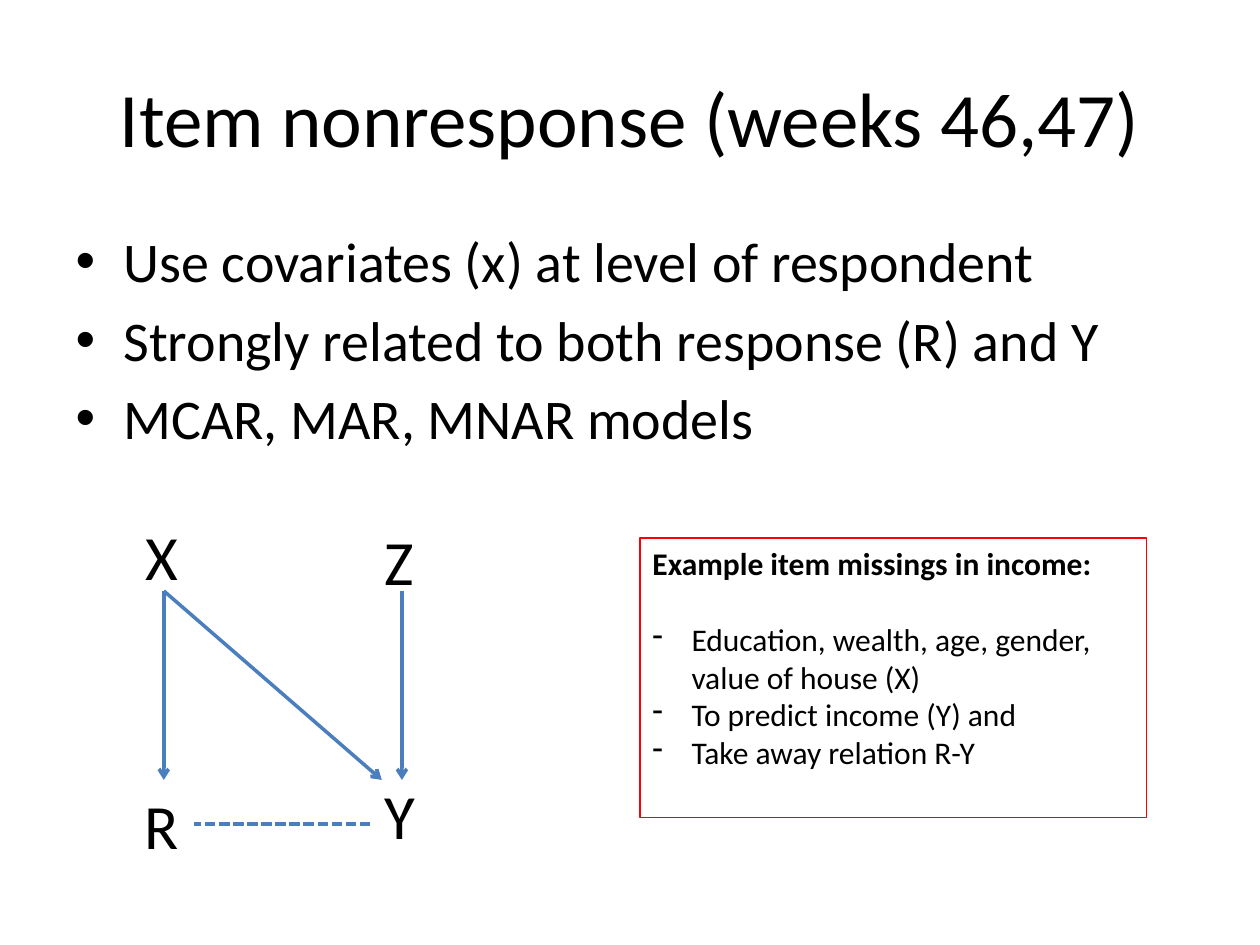
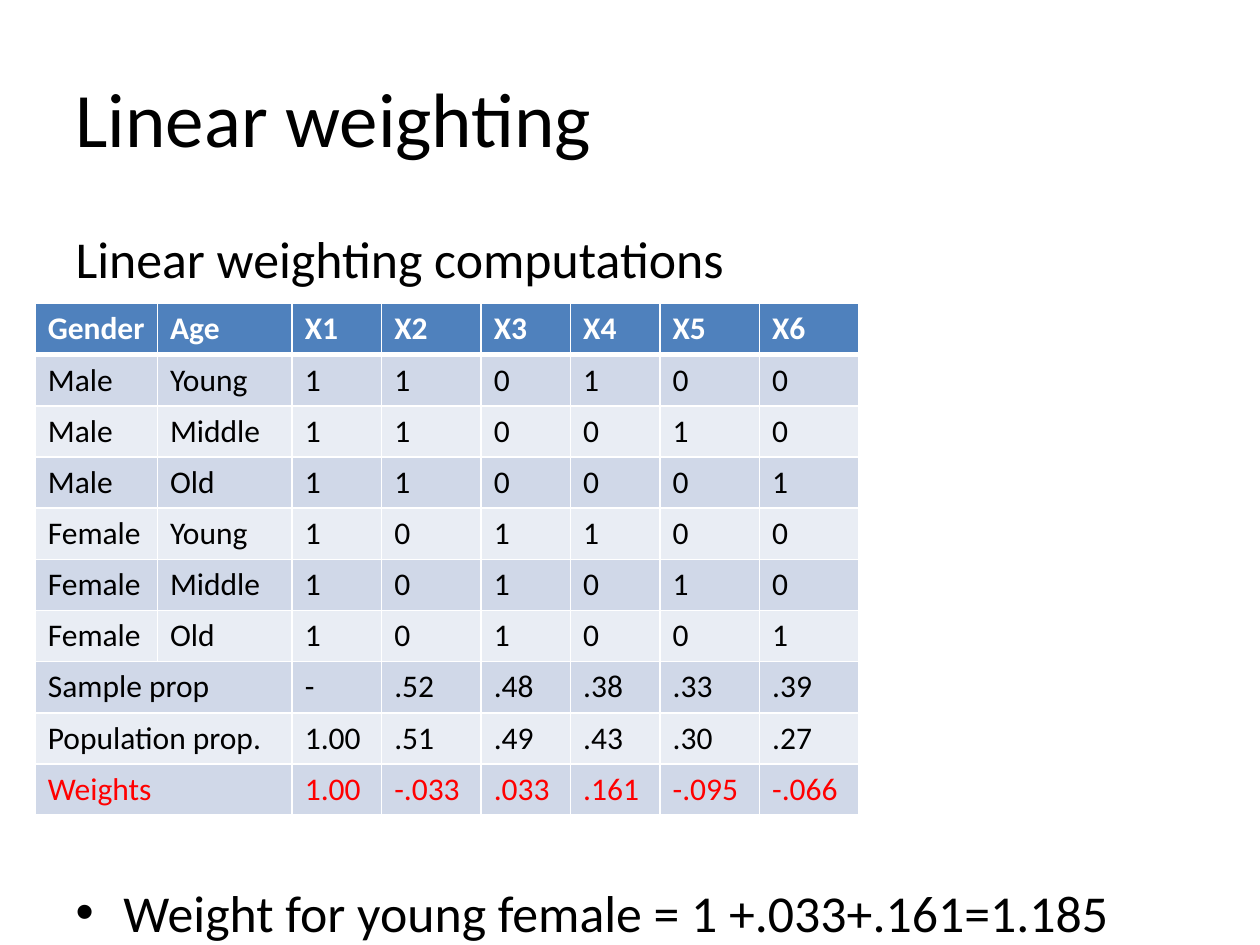
from dataclasses import dataclass

from lxml.etree import SubElement
from pptx import Presentation
from pptx.dml.color import RGBColor
from pptx.enum.dml import MSO_LINE
from pptx.enum.shapes import MSO_CONNECTOR as Connector, MSO_SHAPE as Shape
from pptx.enum.text import MSO_ANCHOR as Anchor, MSO_AUTO_SIZE as AutoSize, PP_ALIGN as Align
from pptx.oxml.ns import qn
from pptx.util import Inches, Pt

FONT = "Calibri"
COLORS = {
    "text": "000000",
    "white": "FFFFFF",
    "accent": "FF0000",
    "arrow": "4B7EBC",
    "header": "4F81BD",
    "band_dark": "D0D8E8",
    "band_light": "E9EDF4",
}


@dataclass(frozen=True)
class Label:
    text: str
    left: float
    top: float


@dataclass(frozen=True)
class Link:
    start: tuple[float, float]
    end: tuple[float, float]
    dashed: bool = False


@dataclass(frozen=True)
class Item:
    text: str
    bullet: str = "•"
    indent: float = 0.38
    bold: bool = False
    before: float | None = None
    after: float | None = None


# Variables of the nonresponse diagram and the relations between them
LABELS = [
    Label("X", 1.06, 4.06),
    Label("Z", 2.95, 4.1),
    Label("R", 1.05, 6.19),
    Label("Y", 2.95, 6.11),
]
LINKS = [
    Link((1.3, 4.69), (1.3, 6.19)),
    Link((1.3, 4.69), (3.03, 6.19)),
    Link((3.19, 4.69), (3.19, 6.19)),
    Link((2.94, 6.54), (1.54, 6.54), dashed=True),
]

# Weighting table; an empty second cell is merged with the first
COLUMN_WIDTHS = [0.97, 1.07, 0.71, 0.79, 0.71, 0.71, 0.79, 0.79]
WEIGHT_ROWS = [
    ["Gender", "Age", "X1", "X2", "X3", "X4", "X5", "X6"],
    ["Male", "Young", "1", "1", "0", "1", "0", "0"],
    ["Male", "Middle", "1", "1", "0", "0", "1", "0"],
    ["Male", "Old", "1", "1", "0", "0", "0", "1"],
    ["Female", "Young", "1", "0", "1", "1", "0", "0"],
    ["Female", "Middle", "1", "0", "1", "0", "1", "0"],
    ["Female", "Old", "1", "0", "1", "0", "0", "1"],
    ["Sample prop", "", "-", ".52", ".48", ".38", ".33", ".39"],
    ["Population prop.", "", "1.00", ".51", ".49", ".43", ".30", ".27"],
    ["Weights", "", "1.00", "-.033", ".033", ".161", "-.095", "-.066"],
]


def rgb(name: str) -> RGBColor:
    return RGBColor.from_string(COLORS[name])


def add_span(para, text: str, size: float, color: str = "text", bold: bool = False) -> None:
    span = para.add_run()
    span.text = text
    span.font.name = FONT
    span.font.size = Pt(size)
    span.font.bold = bold
    span.font.color.rgb = rgb(color)


def write_items(frame, items: list[Item], size: float) -> None:
    """Fill a text frame with plain or bulleted paragraphs."""
    frame.word_wrap = True
    frame.auto_size = AutoSize.NONE
    frame.vertical_anchor = Anchor.TOP
    for index, item in enumerate(items):
        para = frame.add_paragraph() if index else frame.paragraphs[0]
        para.alignment = Align.LEFT
        if item.before is not None:
            para.space_before = Pt(item.before)
        if item.after is not None:
            para.space_after = Pt(item.after)
        properties = para._p.get_or_add_pPr()
        indent = Inches(item.indent) if item.bullet else 0
        properties.set("marL", str(indent))
        properties.set("indent", str(-indent))
        if item.bullet:
            SubElement(properties, qn("a:buChar"), char=item.bullet)
        else:
            SubElement(properties, qn("a:buNone"))
        add_span(para, item.text, size, bold=item.bold)


def add_page(deck, title: str, align: Align, items: list[Item], size: float, body_height: float):
    """Add a slide with its title and list."""
    page = deck.slides.add_slide(deck.slide_layouts[1])
    heading, body = page.placeholders
    for holder, top, height in ((heading, 0.3, 1.25), (body, 1.75, body_height)):
        holder.left, holder.top = Inches(0.5), Inches(top)
        holder.width, holder.height = Inches(9), Inches(height)
    heading.text_frame.vertical_anchor = Anchor.MIDDLE
    para = heading.text_frame.paragraphs[0]
    para.alignment = align
    add_span(para, title, 44)
    write_items(body.text_frame, items, size)
    return page


def add_label(page, label: Label) -> None:
    box = page.shapes.add_textbox(Inches(label.left), Inches(label.top), Inches(1.89), Inches(0.71))
    box.text_frame.word_wrap = True
    add_span(box.text_frame.paragraphs[0], label.text, 36)


def add_link(page, link: Link) -> None:
    ends = [Inches(value) for value in (*link.start, *link.end)]
    connector = page.shapes.add_connector(Connector.STRAIGHT, *ends)
    connector.line.width = Pt(2)
    connector.line.color.rgb = rgb("arrow")
    if link.dashed:
        connector.line.dash_style = MSO_LINE.SQUARE_DOT
    else:
        SubElement(connector.line._get_or_add_ln(), qn("a:tailEnd"), type="arrow")
    SubElement(connector._element.spPr, qn("a:effectLst"))


def add_example_box(page) -> None:
    box = page.shapes.add_shape(Shape.RECTANGLE, Inches(5.08), Inches(4.27), Inches(4.02), Inches(2.22))
    box.shadow.inherit = False
    box.fill.background()
    box.line.color.rgb = rgb("accent")
    box.line.width = Pt(0.75)
    points = [
        "Education, wealth, age, gender, value of house (X)",
        "To predict income (Y) and",
        "Take away relation R-Y",
    ]
    heading = Item("Example item missings in income:", bullet="", bold=True, after=21.6)
    write_items(box.text_frame, [heading, *(Item(point, "-", 0.31) for point in points)], 18)


def set_borders(cell, top: float, bottom: float) -> None:
    properties = cell._tc.get_or_add_tcPr()
    for side, width in (("L", 1), ("R", 1), ("T", top), ("B", bottom)):
        line = SubElement(properties, qn(f"a:ln{side}"), w=str(Pt(width)))
        fill = SubElement(line, qn("a:solidFill"))
        SubElement(fill, qn("a:srgbClr"), val=COLORS["white"])


def add_weight_table(page) -> None:
    frame = page.shapes.add_table(
        len(WEIGHT_ROWS), len(COLUMN_WIDTHS),
        Inches(0.28), Inches(2.41), Inches(sum(COLUMN_WIDTHS)), Inches(4.06),
    )
    table = frame.table
    for column, width in zip(table.columns, COLUMN_WIDTHS):
        column.width = Inches(width)
    for row, values in enumerate(WEIGHT_ROWS):
        is_header = row == 0
        band = "header" if is_header else "band_dark" if row % 2 else "band_light"
        color = "white" if is_header else "accent" if values[0] == "Weights" else "text"
        if not values[1]:
            table.cell(row, 0).merge(table.cell(row, 1))
        for column, value in enumerate(values):
            cell = table.cell(row, column)
            set_borders(cell, top=3 if row == 1 else 1, bottom=3 if is_header else 1)
            cell.fill.solid()
            cell.fill.fore_color.rgb = rgb(band)
            if value:
                add_span(cell.text_frame.paragraphs[0], value, 18, color, is_header)


def main() -> None:
    deck = Presentation()
    deck.slide_width, deck.slide_height = Inches(10), Inches(7.5)

    # Item nonresponse: list, diagram and example
    topics = [
        Item("Use covariates (x) at level of respondent"),
        Item("Strongly related to both response (R) and Y"),
        Item("MCAR, MAR, MNAR models"),
    ]
    page = add_page(deck, "Item nonresponse (weeks 46,47)", Align.CENTER, topics, 32, 4.95)
    add_example_box(page)
    for label in LABELS:
        add_label(page, label)
    for link in LINKS:
        add_link(page, link)

    # Linear weighting: the table sits in the space between two lines
    lines = [
        Item("Linear weighting computations", bullet=""),
        Item("Weight for young female = 1 +.033+.161=1.185", before=338),
    ]
    page = add_page(deck, "Linear weighting", Align.LEFT, lines, 29.6, 5.7)
    add_weight_table(page)

    deck.save("out.pptx")


if __name__ == "__main__":
    main()
